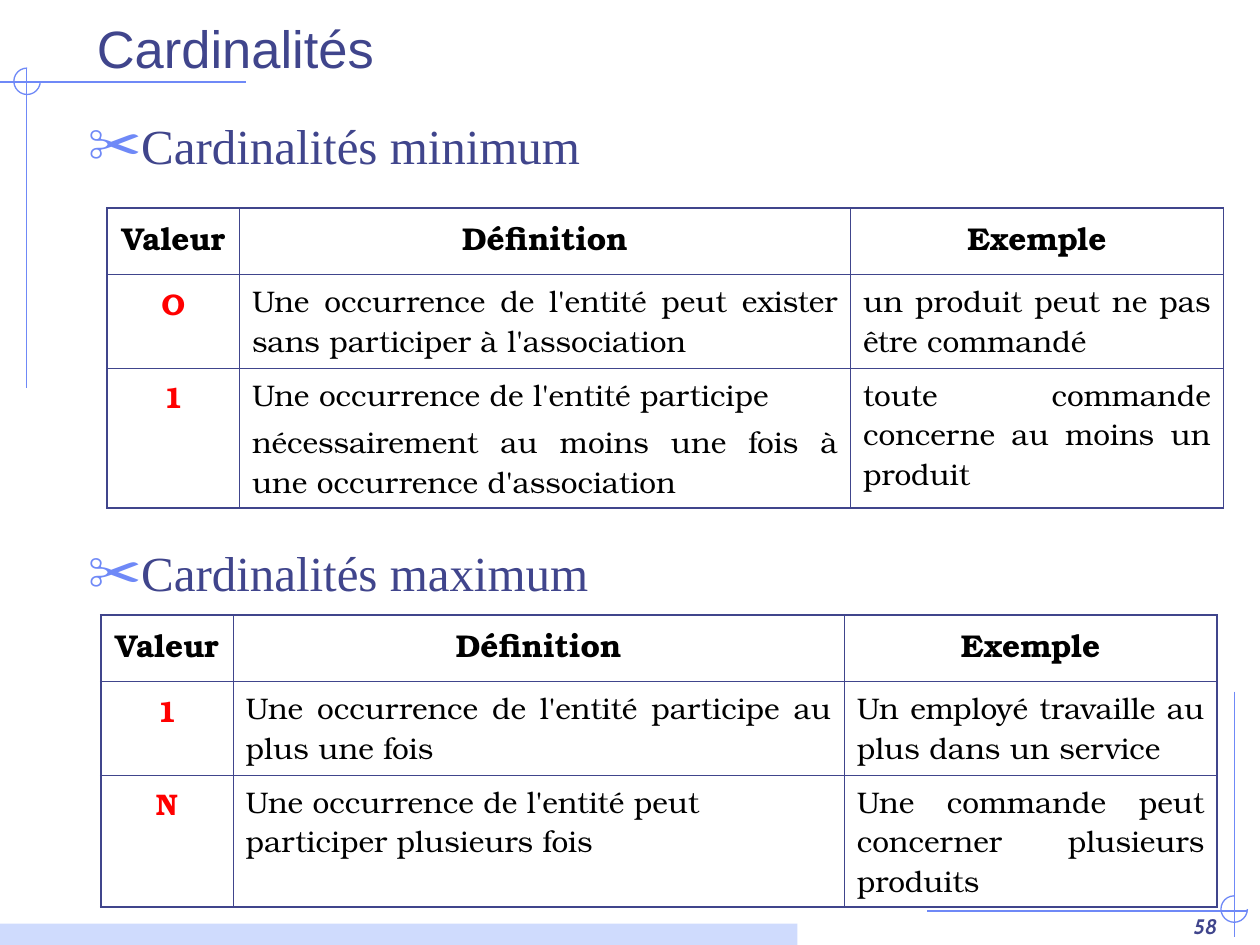
from dataclasses import dataclass

from lxml import etree
from pptx import Presentation
from pptx.dml.color import RGBColor
from pptx.enum.shapes import MSO_CONNECTOR as CONN, MSO_SHAPE as SHAPE
from pptx.enum.text import MSO_ANCHOR as ANCHOR, PP_ALIGN as ALIGN
from pptx.oxml.ns import qn
from pptx.util import Inches, Pt


@dataclass(frozen=True)
class Theme:
    ink: str = "40458C"
    accent: str = "6F89F7"
    bar: str = "CFDBFD"
    black: str = "000000"
    red: str = "FF0000"
    title_font: str = "Arial"
    heading_font: str = "Times New Roman"
    table_font: str = "TeX Gyre Bonum"
    number_font: str = "Cabin"
    title_size: float = 30
    heading_size: float = 28
    header_size: float = 18
    cell_size: float = 17
    number_size: float = 12
    rule: float = 0.75
    outer: float = 1.08
    inner: float = 0.45


def rgb(value):
    return RGBColor.from_string(value)


def add_bullet(p, char, color, font, percent, indent):
    pPr = p._p.get_or_add_pPr()
    pPr.set("marL", str(Inches(indent)))
    pPr.set("indent", str(-Inches(indent)))
    clr = etree.SubElement(pPr, qn("a:buClr"))
    etree.SubElement(clr, qn("a:srgbClr"), val=color)
    etree.SubElement(pPr, qn("a:buSzPct"), val=str(percent * 1000))
    etree.SubElement(pPr, qn("a:buFont"), typeface=font)
    etree.SubElement(pPr, qn("a:buChar"), char=char)


def write(p, text, *, font, size, color, bold=False, italic=False,
          align=ALIGN.LEFT, before=0):
    p.alignment = align
    p.space_before = Pt(before)
    r = p.add_run()
    r.text = text
    f = r.font
    f.name, f.size, f.bold, f.italic = font, Pt(size), bold, italic
    f.color.rgb = rgb(color)


class SlideBuilder:
    def __init__(self, slide, theme):
        self.slide, self.theme = slide, theme

    def line(self, x1, y1, x2, y2):
        s = self.slide.shapes.add_connector(
            CONN.STRAIGHT, Inches(x1), Inches(y1), Inches(x2), Inches(y2))
        s.line.color.rgb = rgb(self.theme.accent)
        s.line.width = Pt(self.theme.rule)
        etree.SubElement(s._element.spPr, qn("a:effectLst"))

    def shape(self, kind, x, y, w, h):
        s = self.slide.shapes.add_shape(
            kind, Inches(x), Inches(y), Inches(w), Inches(h))
        s.shadow.inherit = False
        return s

    def bar(self, x, y, w, h):
        s = self.shape(SHAPE.RECTANGLE, x, y, w, h)
        s.fill.solid()
        s.fill.fore_color.rgb = rgb(self.theme.bar)
        s.line.fill.background()

    def open_circle(self, x, y, d):
        s = self.shape(SHAPE.ARC, x, y, d, d)
        # Clockwise from the right (0 degrees) to the top (270 degrees)
        s.adjustments[0], s.adjustments[1] = 0, 162
        s.fill.background()
        s.line.color.rgb = rgb(self.theme.accent)
        s.line.width = Pt(self.theme.rule)

    def text(self, text, x, y, w, h, *, anchor=ANCHOR.TOP, bullet=None, **fmt):
        tf = self.slide.shapes.add_textbox(
            Inches(x), Inches(y), Inches(w), Inches(h)).text_frame
        tf.word_wrap = True
        tf.vertical_anchor = anchor
        p = tf.paragraphs[0]
        if bullet:
            add_bullet(p, bullet, self.theme.accent, self.theme.title_font,
                       110, 0.38)
        write(p, text, **fmt)

    def heading(self, text, y):
        t = self.theme
        self.text(text, 0.6, y, 8.9, 0.6, bullet="✂", font=t.heading_font,
                  size=t.heading_size, color=t.ink, align=ALIGN.JUSTIFY)

    def borders(self, cell, outer_sides):
        t, tcPr = self.theme, cell._tc.get_or_add_tcPr()
        for i, side in enumerate("LRTB"):
            width = t.outer if side in outer_sides else t.inner
            ln = etree.Element(qn("a:ln" + side), w=str(Pt(width)))
            fill = etree.SubElement(ln, qn("a:solidFill"))
            etree.SubElement(fill, qn("a:srgbClr"), val=t.ink)
            tcPr.insert(i, ln)

    def table(self, x, y, widths, heights, rows):
        t = self.theme
        table = self.slide.shapes.add_table(
            len(rows), len(widths), Inches(x), Inches(y),
            Inches(sum(widths)), Inches(sum(heights))).table
        table.first_row = table.horz_banding = False
        for col, w in zip(table.columns, widths):
            col.width = Inches(w)
        for row, h in zip(table.rows, heights):
            row.height = Inches(h)

        last_row, last_col = len(rows) - 1, len(widths) - 1
        for i, row in enumerate(rows):
            for j, content in enumerate(row):
                cell = table.cell(i, j)
                cell.fill.background()
                edges = {"L": j == 0, "R": j == last_col,
                         "T": i == 0, "B": i == last_row}
                self.borders(cell, [k for k, on in edges.items() if on])
                label = i == 0 or j == 0
                # A plain string is one paragraph in the default alignment
                default = ALIGN.CENTER if label else ALIGN.JUSTIFY
                parts = [(content, default)] if isinstance(content, str) else content
                tf = cell.text_frame
                for n, (text, align) in enumerate(parts):
                    p = tf.add_paragraph() if n else tf.paragraphs[0]
                    write(p, text, font=t.table_font, bold=label, align=align,
                          size=t.cell_size if i else t.header_size,
                          color=t.red if i and j == 0 else t.black,
                          before=4.2 if n else 0)


HEADER = ["Valeur", "Définition", "Exemple"]
WIDTHS = [1.05, 4.85, 2.96]
MINIMUM = [
    HEADER,
    ["O", "Une occurrence de l'entité peut exister sans participer à l'association",
     "un produit peut ne pas être commandé"],
    ["1", [("Une occurrence de l'entité participe", ALIGN.LEFT),
           ("nécessairement au moins une fois à une occurrence d'association",
            ALIGN.JUSTIFY)],
     "toute commande concerne au moins un produit"],
]
MAXIMUM = [
    HEADER,
    ["1", "Une occurrence de l'entité participe au plus une fois",
     "Un employé travaille au plus dans un service"],
    ["N", [("Une occurrence de l'entité peut participer plusieurs fois", ALIGN.LEFT)],
     "Une commande peut concerner plusieurs produits"],
]


def main():
    prs = Presentation()
    prs.slide_width, prs.slide_height = Inches(10), Inches(7.5)
    t = Theme()
    b = SlideBuilder(prs.slides.add_slide(prs.slide_layouts[6]), t)

    # Corner ornaments and footer bar
    b.line(1.95, 0.65, 0, 0.65)
    b.line(0.21, 0.55, 0.21, 3.08)
    b.open_circle(0.11, 0.54, 0.21)
    b.line(9.8, 5.49, 9.8, 7.44)
    b.line(9.9, 7.23, 7.36, 7.23)
    b.open_circle(9.69, 7.11, 0.21)
    b.bar(0, 7.33, 6.33, 0.17)

    # Page number and title
    b.text("58", 7.68, 7, 2.08, 0.5, anchor=ANCHOR.BOTTOM, font=t.number_font,
           size=t.number_size, color=t.ink, bold=True, italic=True,
           align=ALIGN.RIGHT)
    b.text("Cardinalités", 0.67, 0.01, 9.08, 0.67, anchor=ANCHOR.BOTTOM,
           font=t.title_font, size=t.title_size, color=t.ink)

    # Minimum and maximum sections, rows tall enough for their wrapped text
    b.heading("Cardinalités minimum", 0.87)
    b.table(0.85, 1.65, WIDTHS, [0.53, 0.74, 1.11], MINIMUM)
    b.heading("Cardinalités maximum", 4.26)
    b.table(0.8, 4.88, WIDTHS, [0.53, 0.74, 1.05], MAXIMUM)

    prs.save("out.pptx")


if __name__ == "__main__":
    main()
